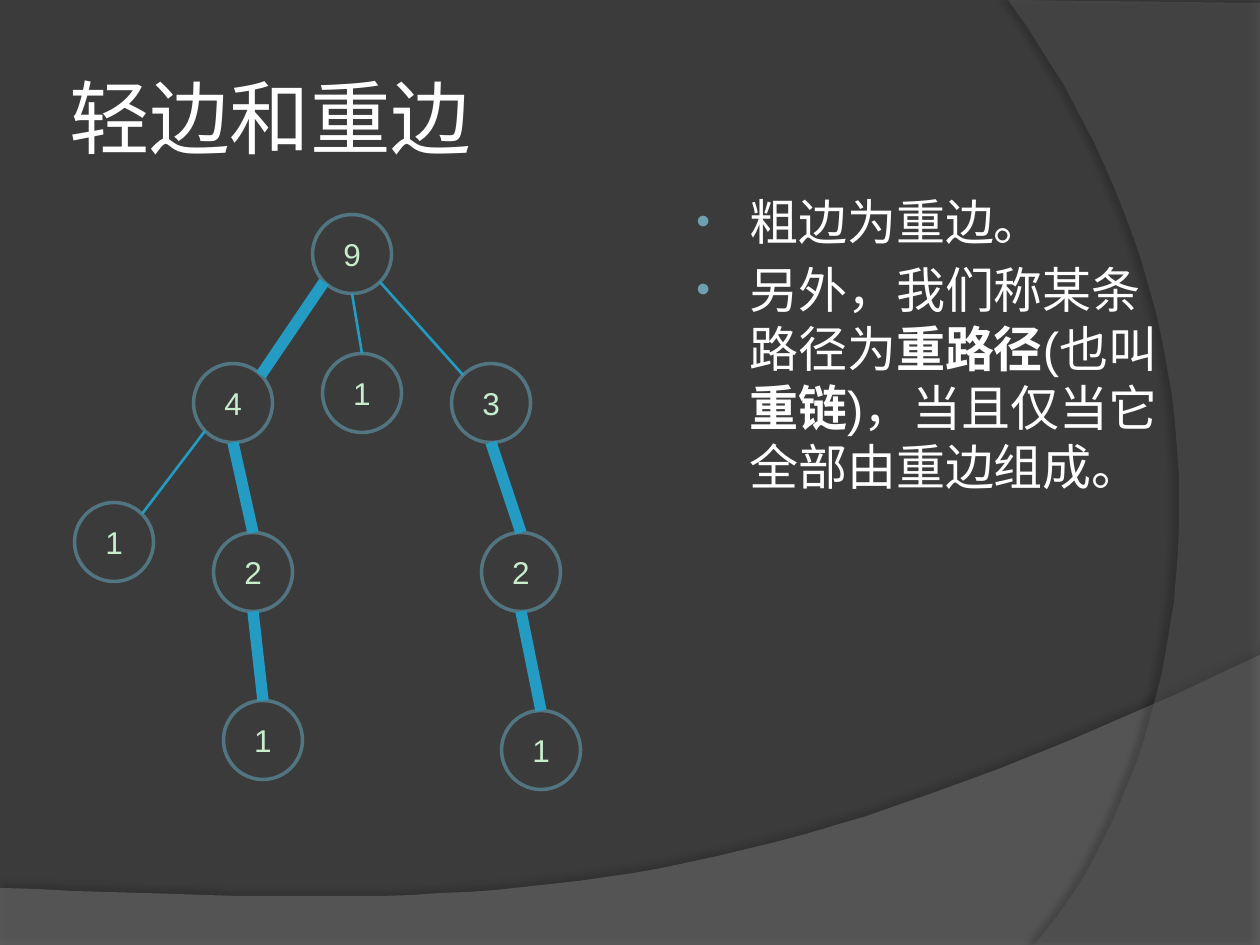
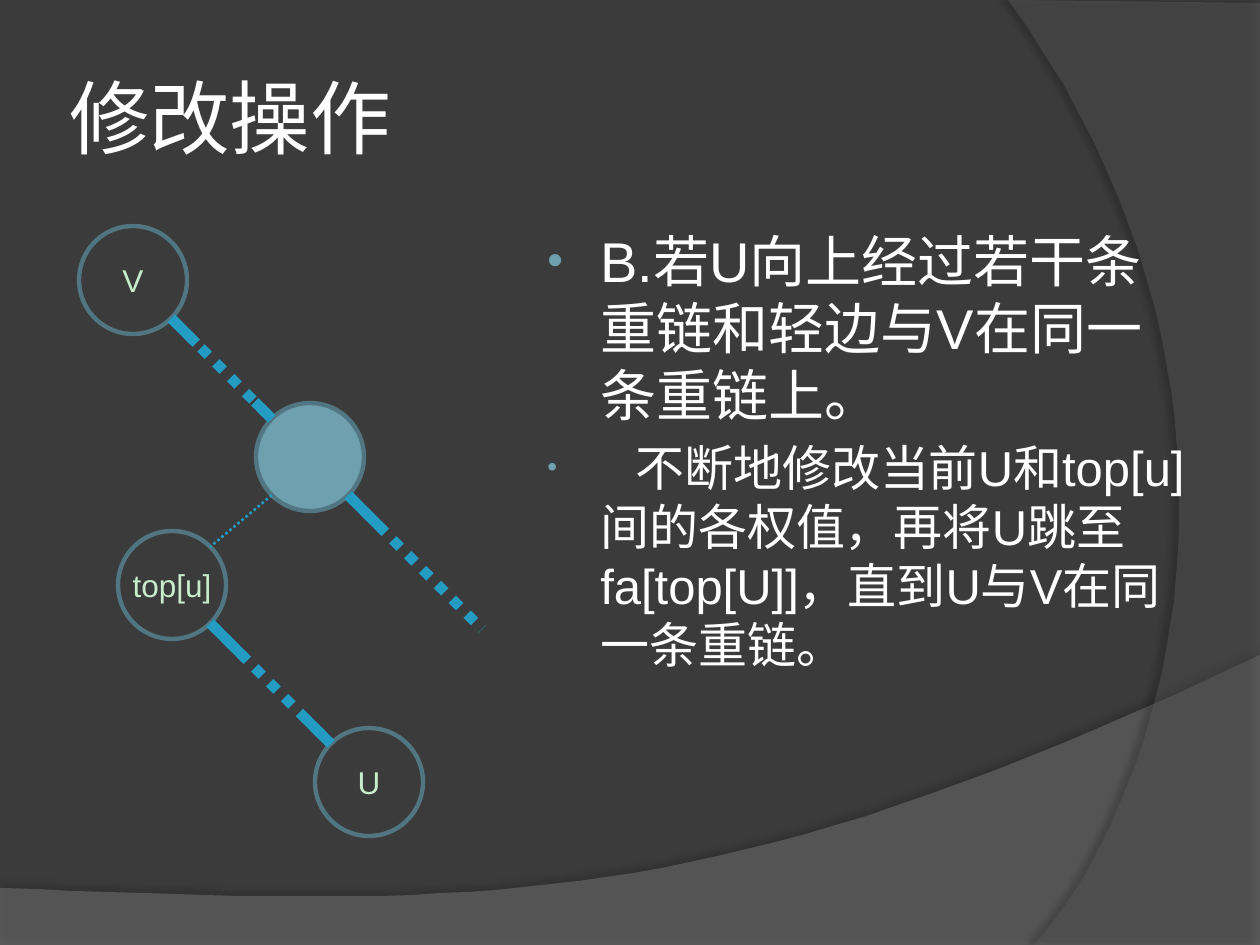
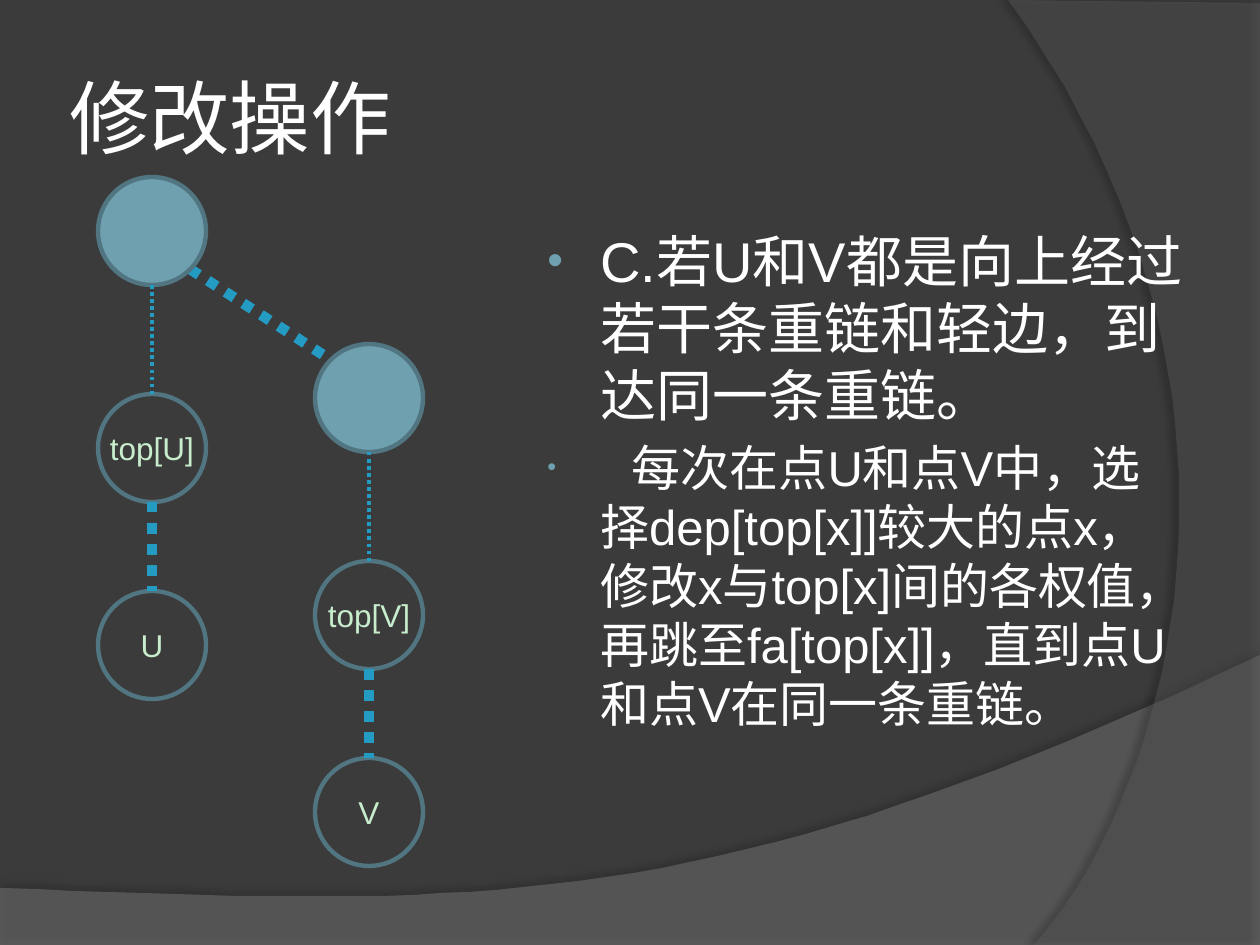
import math

import lxml.etree
import pptx
import pptx.dml.color
import pptx.enum.dml
import pptx.enum.shapes
import pptx.enum.text
import pptx.oxml.ns
import pptx.util

# Shared style
SCALE = 914400 / 126
WIDTH, HEIGHT = 1260, 945
BACK, WHITE, LABEL = "3B3B3B", "FFFFFF", "C7EDCC"
RING, DISC, EDGE = "517682", "6EA0B0", "239BC2"
TITLE_FONT, BODY_FONT = "Lato", "Arial"
THIN, SMALL_DOT = 1.5, 2

# Attachment points on a circle, as unit directions
D = math.sqrt(0.5)
SITES = {"t": (0, -1), "b": (0, 1), "tl": (-D, -D), "tr": (D, -D),
         "bl": (-D, D), "br": (D, D)}


def px(n):
    return pptx.util.Emu(round(n * SCALE))


def rgb(value):
    return pptx.dml.color.RGBColor.from_string(value)


def sub(parent, tag, **attrs):
    return lxml.etree.SubElement(parent, pptx.oxml.ns.qn(tag), attrs)


# Background bands
def curve(p0, p1, p2, p3, steps=40):
    points = []
    for i in range(steps + 1):
        t = i / steps
        weights = ((1 - t) ** 3, 3 * t * (1 - t) ** 2, 3 * t * t * (1 - t), t ** 3)
        points.append(tuple(sum(w * p[k] for w, p in zip(weights, (p0, p1, p2, p3)))
                            for k in (0, 1)))
    return points


def add_band(s, points, color, alpha, shadow_alpha, distance, angle):
    fb = s.shapes.build_freeform(*points[0], scale=SCALE)
    fb.add_line_segments(points[1:], close=True)
    sp = fb.convert_to_shape()
    sp.fill.solid()
    sp.fill.fore_color.rgb = rgb(color)
    sp.line.fill.background()
    clr = sp.fill._xPr.find(".//" + pptx.oxml.ns.qn("a:srgbClr"))
    sub(clr, "a:alpha", val=str(alpha * 1000))
    effects = sub(sp._element.spPr, "a:effectLst")
    shadow = sub(effects, "a:outerShdw", blurRad=str(pptx.util.Pt(4)),
                 dist=str(pptx.util.Pt(distance)), dir=str(angle * 60000),
                 algn="ctr", rotWithShape="0")
    black = sub(shadow, "a:srgbClr", val="000000")
    sub(black, "a:alpha", val=str(shadow_alpha * 1000))


def add_bands(s):
    bottom = curve((WIDTH, 655), (704, 919), (493, 906), (0, 888))
    add_band(s, [(0, HEIGHT), (WIDTH, HEIGHT)] + bottom, "7F7F7F", 45, 35, 3.5, 270)
    side = curve((1034, HEIGHT), (1178, 780), (1283, 378), (1008, 0))
    add_band(s, [(WIDTH, 3), (WIDTH, HEIGHT)] + side, "5E5E5E", 40, 45, 4, 180)


# Text
def add_run(p, text, size, color=WHITE, font=BODY_FONT, bold=False):
    r = p.add_run()
    r.text = text
    r.font.size = pptx.util.Pt(size)
    r.font.name = font
    r.font.color.rgb = rgb(color)
    if bold:
        r.font.bold = True


def add_text_box(s, x, y, w, h):
    tf = s.shapes.add_textbox(px(x), px(y), px(w), px(h)).text_frame
    tf.word_wrap = True
    return tf


def add_title(s, text):
    tf = add_text_box(s, 63, 38, 1029, 157)
    tf.vertical_anchor = pptx.enum.text.MSO_ANCHOR.MIDDLE
    tf.margin_left = tf.margin_right = px(6)
    add_run(tf.paragraphs[0], text, 46, font=TITLE_FONT)


def add_bullets(s, box, items):
    """Each item is (size, indent size or 0, [(text, bold), ...])."""
    tf = add_text_box(s, *box)
    for i, (size, indent, runs) in enumerate(items):
        p = tf.add_paragraph() if i else tf.paragraphs[0]
        p.space_before = pptx.util.Pt(size * 0.2)
        pPr = p._p.get_or_add_pPr()
        pPr.set("marL", str(px(58)))
        pPr.set("indent", str(-px(53)))
        sub(sub(pPr, "a:buClr"), "a:srgbClr", val=DISC)
        sub(pPr, "a:buSzPct", val="80000")
        sub(pPr, "a:buFont", typeface=BODY_FONT)
        sub(pPr, "a:buChar", char="•")
        if indent:
            add_run(p, "\u3000", indent)
        for text, bold in runs:
            add_run(p, text, size, bold=bold)


# Tree parts
def add_node(s, center, diameter, label="", width=2.5):
    x, y = (c - diameter / 2 for c in center)
    sp = s.shapes.add_shape(pptx.enum.shapes.MSO_SHAPE.OVAL,
                            px(x), px(y), px(diameter), px(diameter))
    sp.shadow.inherit = False
    sp.line.color.rgb = rgb(RING)
    sp.line.width = pptx.util.Pt(width)
    if not label:
        sp.fill.solid()
        sp.fill.fore_color.rgb = rgb(DISC)
        return
    sp.fill.background()
    tf = sp.text_frame
    tf.word_wrap = len(label) == 1
    tf.vertical_anchor = pptx.enum.text.MSO_ANCHOR.MIDDLE
    p = tf.paragraphs[0]
    p.alignment = pptx.enum.text.PP_ALIGN.CENTER
    add_run(p, label, 18, LABEL)


def add_line(s, start, end, width, dotted=False):
    cx = s.shapes.add_connector(pptx.enum.shapes.MSO_CONNECTOR.STRAIGHT,
                                px(start[0]), px(start[1]), px(end[0]), px(end[1]))
    cx.line.color.rgb = rgb(EDGE)
    cx.line.width = pptx.util.Pt(width)
    if dotted:
        cx.line.dash_style = pptx.enum.dml.MSO_LINE.ROUND_DOT
    sub(cx._element.spPr, "a:effectLst")


def site(center, diameter, name):
    return tuple(c + d * diameter / 2 for c, d in zip(center, SITES[name]))


def shift(point, n):
    return point[0] + n, point[1] + n


# Slides
def new_slide(prs, title):
    s = prs.slides.add_slide(prs.slide_layouts[6])
    add_bands(s)
    add_title(s, title)
    return s


def heavy_edges_slide(prs):
    s = new_slide(prs, "轻边和重边")
    add_bullets(s, (679, 185, 504, 624), [
        (28, 0, [("粗边为重边。", False)]),
        (28, 0, [("另外，我们称某条路径为", False), ("重路径", True), ("(也叫", False),
                 ("重链", True), (")，当且仅当它全部由重边组成。", False)]),
    ])
    size = 79
    nodes = {"root": ("9", (352, 254)), "mid": ("1", (362, 393)),
             "left": ("4", (233, 403)), "right": ("3", (491, 403)),
             "leaf": ("1", (114, 542)), "left2": ("2", (253, 572)),
             "right2": ("2", (521, 572)), "right3": ("1", (541, 750)),
             "left3": ("1", (263, 740))}
    for label, center in nodes.values():
        add_node(s, center, size, label, 2)
    light = [("root", "mid", "b", "t"), ("root", "right", "br", "tl"),
             ("left", "leaf", "bl", "tr")]
    heavy = [("root", "left", "bl", "tr"), ("left", "left2", "b", "t"),
             ("left2", "left3", "b", "t"), ("right", "right2", "b", "t"),
             ("right2", "right3", "b", "t")]
    for edges, width in ((light + heavy, THIN), (heavy, 6.5)):
        for a, b, out, into in edges:
            add_line(s, site(nodes[a][1], size, out), site(nodes[b][1], size, into), width)


def one_side_slide(prs):
    s = new_slide(prs, "修改操作")
    add_bullets(s, (530, 220, 667, 649), [
        (32, 0, [("B.若U向上经过若干条重链和轻边与V在同一条重链上。", False)]),
        (28, 20, [("不断地修改当前U和top[u]间的各权值，再将U跳至fa[top[U]]，"
                   "直到U与V在同一条重链。", False)]),
    ])
    size = 108
    v, fork, top, u = (133, 280), (310, 457), (172, 585), (369, 782)
    v_out, fork_in = site(v, size, "br"), site(fork, size, "tl")
    fork_out = site(fork, size, "br")
    top_out, u_in = site(top, size, "br"), site(u, size, "tl")
    add_line(s, v_out, fork_in, 6, True)
    for center, label in ((fork, ""), (v, "V"), (top, "top[u]"), (u, "U")):
        add_node(s, center, size, label)
    add_line(s, fork_out, shift(fork_out, 134), 6, True)
    add_line(s, top_out, u_in, 6, True)
    # Solid ends of the dotted chains
    for point, length in ((top_out, 35), (v_out, 25), (fork_in, -17),
                          (fork_out, 36), (u_in, -26)):
        add_line(s, point, shift(point, length), 6)
    add_line(s, site(fork, size, "bl"), site(top, size, "tr"), THIN, True)


def both_sides_slide(prs):
    s = new_slide(prs, "修改操作")
    add_bullets(s, (530, 220, 667, 624), [
        (32, 0, [("C.若U和V都是向上经过若干条重链和轻边，到达同一条重链。", False)]),
        (28, 18, [("每次在点U和点V中，选择dep[top[x]]较大的点x，修改x与top[x]"
                   "间的各权值，再跳至fa[top[x]]，直到点U和点V在同一条重链。", False)]),
    ])
    size = 108
    heads = {"U": (152, 231), "V": (369, 398)}
    add_line(s, site(heads["U"], size, "br"), site(heads["V"], size, "tl"), 6, True)
    for name, (x, y) in heads.items():
        head, top, end = (x, y), (x, y + 217), (x, y + 414)
        for center, label in ((head, ""), (top, f"top[{name}]"), (end, name)):
            add_node(s, center, size, label)
        add_line(s, site(top, size, "b"), site(end, size, "t"), 6, True)
        add_line(s, site(head, size, "b"), site(top, size, "t"), SMALL_DOT, True)


def main():
    prs = pptx.Presentation()
    prs.slide_width, prs.slide_height = px(WIDTH), px(HEIGHT)
    fill = prs.slide_master.background.fill
    fill.solid()
    fill.fore_color.rgb = rgb(BACK)
    heavy_edges_slide(prs)
    one_side_slide(prs)
    both_sides_slide(prs)
    prs.save("out.pptx")


main()
